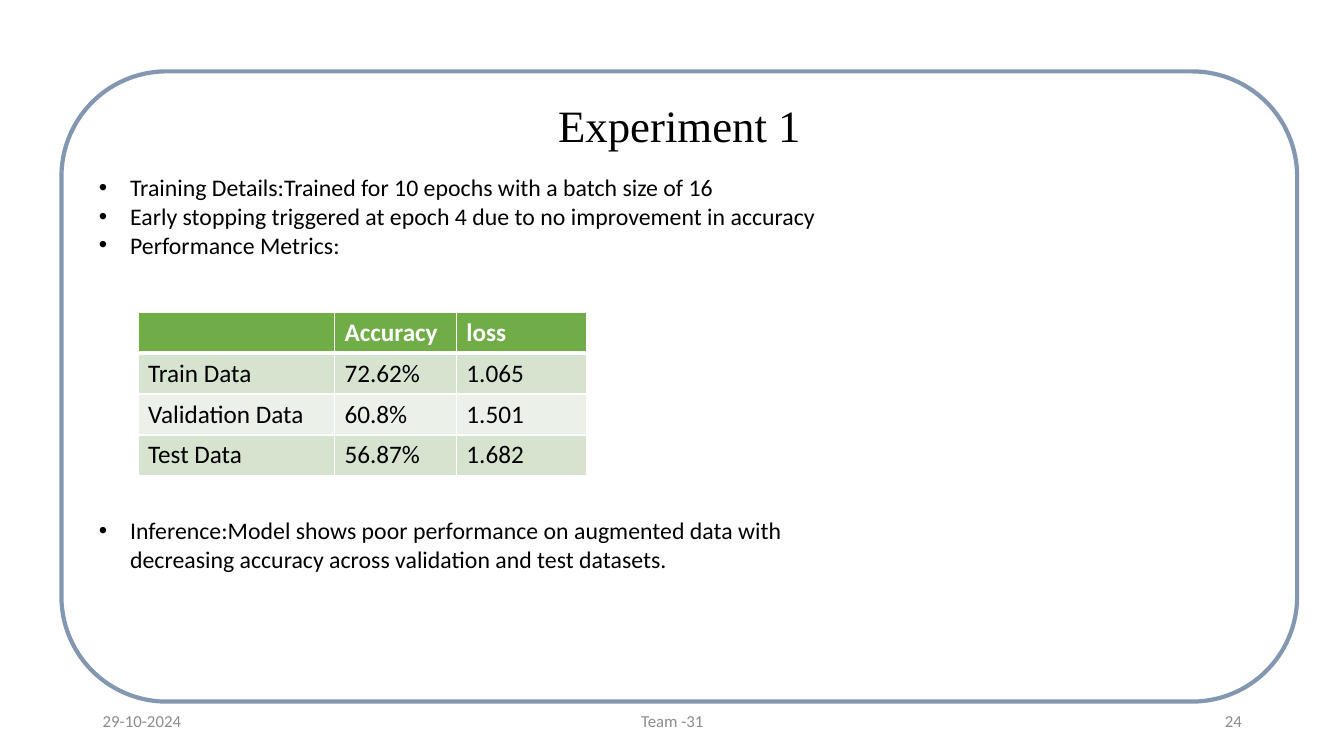
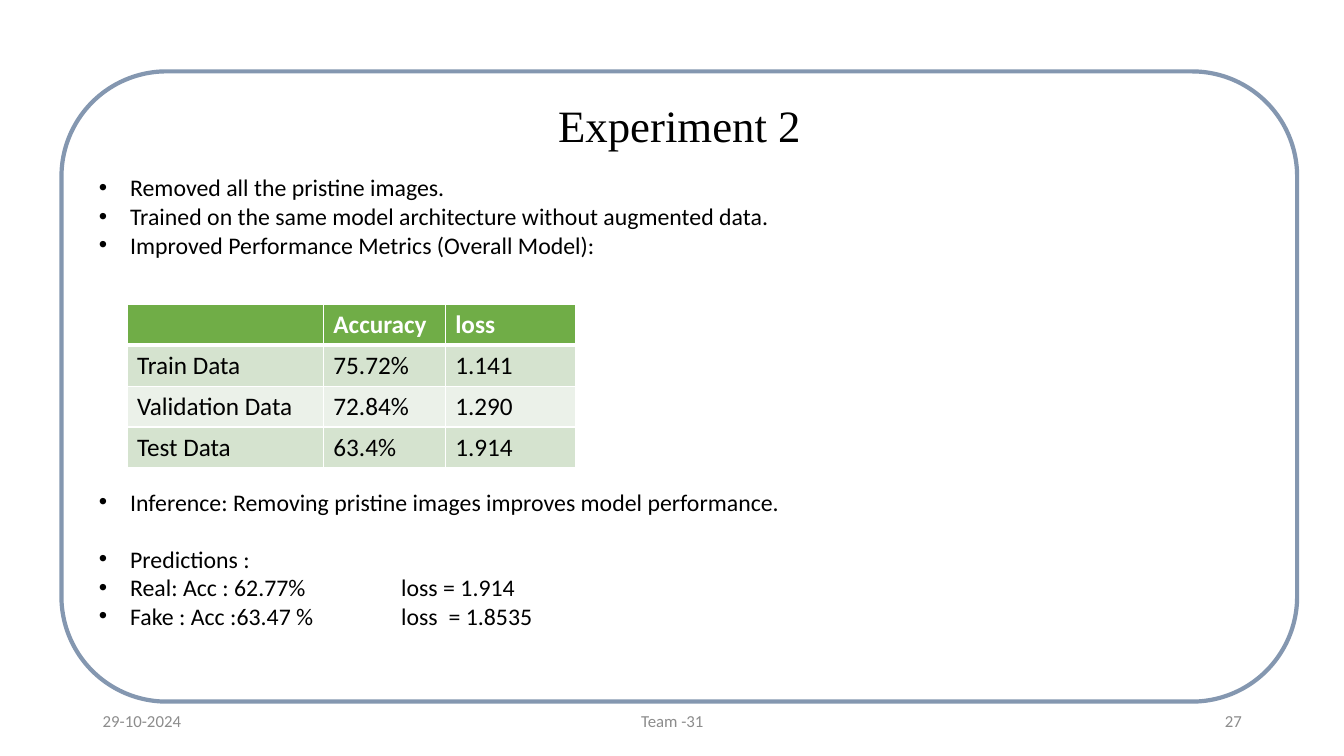
from typing import NamedTuple

from lxml.etree import SubElement
from pptx import Presentation
from pptx.dml.color import RGBColor
from pptx.enum.shapes import MSO_SHAPE as Preset
from pptx.enum.text import MSO_ANCHOR as Anchor, MSO_AUTO_SIZE as AutoSize, PP_ALIGN as Align
from pptx.oxml.ns import qn
from pptx.util import Cm, Pt

COLORS = {
    "text": "000000",
    "footer": "8C8C8C",
    "frame": "8497B0",
    "header": "70AD47",
    "odd_row": "D5E3CF",
    "even_row": "EBF1E9",
    "white": "FFFFFF",
}
BODY_FONT = "Calibri"
TITLE_FONT = "Times New Roman"
LINE_PITCH = 20.4
INDENT = Cm(0.79)
TAB_STOP = Cm(7.62)
COLUMN_WIDTHS = (4.95, 3.07, 3.28)
ROW_HEIGHT = 1.03
TABLE_HEADER = ("", "Accuracy", "loss")


class Box(NamedTuple):
    left: float
    top: float
    width: float
    height: float

    def lengths(self) -> list:
        return [Cm(value) for value in self]


class Bullet(NamedTuple):
    text: str
    lines_before: int = 0


class Footer(NamedTuple):
    left: float
    width: float
    align: Align


class Experiment(NamedTuple):
    title: str
    number: str
    bullets: list[Bullet]
    table_left: float
    table_top: float
    results: list[tuple[str, str, str]]


FRAME = Box(1.55, 1.8, 31.14, 15.88)
TITLE = Box(3.84, 2.34, 26.57, 1.63)
BODY = Box(2.24, 4.24, 19.1, 13.2)
FOOTER_TOP, FOOTER_HEIGHT = 17.65, 1.02
FOOTERS = (
    Footer(2.34, 7.62, Align.LEFT),
    Footer(11.23, 11.43, Align.CENTER),
    Footer(23.93, 7.62, Align.RIGHT),
)

EXPERIMENTS = [
    Experiment(
        "Experiment 1", "24",
        [
            Bullet("Training Details:Trained for 10 epochs with a batch size of 16"),
            Bullet("Early stopping triggered at epoch 4 due to no improvement in accuracy"),
            Bullet("Performance Metrics:"),
            Bullet("Inference:Model shows poor performance on augmented data with "
                   "decreasing accuracy across validation and test datasets.", 9),
        ],
        3.48, 7.87,
        [
            ("Train Data", "72.62%", "1.065"),
            ("Validation Data", "60.8%", "1.501"),
            ("Test Data", "56.87%", "1.682"),
        ],
    ),
    Experiment(
        "Experiment 2", "27",
        [
            Bullet("Removed all the pristine images."),
            Bullet("Trained on the same model architecture without augmented data."),
            Bullet("Improved Performance Metrics (Overall Model):"),
            Bullet("Inference: Removing pristine images improves model performance.", 8),
            Bullet("Predictions :", 1),
            Bullet("Real: Acc : 62.77%\tloss = 1.914"),
            Bullet("Fake : Acc :63.47 %\tloss  = 1.8535"),
        ],
        3.2, 7.67,
        [
            ("Train Data", "75.72%", "1.141"),
            ("Validation Data", "72.84%", "1.290"),
            ("Test Data", "63.4%", "1.914"),
        ],
    ),
]


def rgb(name: str) -> RGBColor:
    return RGBColor.from_string(COLORS[name])


def write(paragraph, text: str, *, size: float, color: str = "text",
          font: str = BODY_FONT, bold: bool = False, align: Align = Align.LEFT) -> None:
    paragraph.alignment = align
    run = paragraph.add_run()
    run.text = text
    run.font.name = font
    run.font.size = Pt(size)
    run.font.bold = bold
    run.font.color.rgb = rgb(color)


def add_text_frame(slide, box: Box, anchor: Anchor = Anchor.TOP):
    frame = slide.shapes.add_textbox(*box.lengths()).text_frame
    frame.word_wrap = True
    frame.vertical_anchor = anchor
    return frame


def add_frame(slide) -> None:
    shape = slide.shapes.add_shape(Preset.ROUNDED_RECTANGLE, *FRAME.lengths())
    shape.shadow.inherit = False
    shape.fill.background()
    shape.line.color.rgb = rgb("frame")
    shape.line.width = Pt(3)


def add_title(slide, title: str) -> None:
    frame = add_text_frame(slide, TITLE)
    frame.auto_size = AutoSize.SHAPE_TO_FIT_TEXT
    write(frame.paragraphs[0], title, size=32, font=TITLE_FONT, align=Align.CENTER)


def set_bullet(paragraph) -> None:
    """Give the paragraph a hanging bullet and, where needed, its tab stop."""
    properties = paragraph._p.get_or_add_pPr()
    properties.set("marL", str(INDENT))
    properties.set("indent", str(-INDENT))
    SubElement(properties, qn("a:buFont"), typeface="Arial")
    SubElement(properties, qn("a:buChar"), char="•")
    tabs = SubElement(properties, qn("a:tabLst"))
    SubElement(tabs, qn("a:tab"), pos=str(TAB_STOP), algn="l")


def add_bullets(slide, bullets: list[Bullet]) -> None:
    frame = add_text_frame(slide, BODY)
    for index, bullet in enumerate(bullets):
        paragraph = frame.add_paragraph() if index else frame.paragraphs[0]
        set_bullet(paragraph)
        paragraph.line_spacing = Pt(LINE_PITCH)
        if bullet.lines_before:
            paragraph.space_before = Pt(LINE_PITCH * bullet.lines_before)
        write(paragraph, bullet.text, size=17)


def add_footers(slide, number: str) -> None:
    for footer, text in zip(FOOTERS, ("29-10-2024", "Team -31", number)):
        box = Box(footer.left, FOOTER_TOP, footer.width, FOOTER_HEIGHT)
        frame = add_text_frame(slide, box, Anchor.MIDDLE)
        write(frame.paragraphs[0], text, size=12, color="footer", align=footer.align)


def set_borders(cell, top: float, bottom: float) -> None:
    """Draw white borders; must run before the cell is filled."""
    properties = cell._tc.get_or_add_tcPr()
    for side, width in (("L", 1), ("R", 1), ("T", top), ("B", bottom)):
        line = SubElement(properties, qn(f"a:ln{side}"), w=str(Pt(width)))
        fill = SubElement(line, qn("a:solidFill"))
        SubElement(fill, qn("a:srgbClr"), val=COLORS["white"])


def add_results(slide, experiment: Experiment) -> None:
    rows = [TABLE_HEADER, *experiment.results]
    box = Box(experiment.table_left, experiment.table_top,
              sum(COLUMN_WIDTHS), ROW_HEIGHT * len(rows))
    table = slide.shapes.add_table(len(rows), len(COLUMN_WIDTHS), *box.lengths()).table
    for column, width in zip(table.columns, COLUMN_WIDTHS):
        column.width = Cm(width)
    for row_index, values in enumerate(rows):
        is_header = row_index == 0
        fill = "header" if is_header else ("odd_row" if row_index % 2 else "even_row")
        for column_index, value in enumerate(values):
            cell = table.cell(row_index, column_index)
            set_borders(cell, top=3 if row_index == 1 else 1, bottom=3 if is_header else 1)
            cell.fill.solid()
            cell.fill.fore_color.rgb = rgb(fill)
            if value:
                write(cell.text_frame.paragraphs[0], value, size=18, bold=is_header,
                      color="white" if is_header else "text")


def add_experiment(presentation, experiment: Experiment) -> None:
    slide = presentation.slides.add_slide(presentation.slide_layouts[6])
    add_frame(slide)
    add_title(slide, experiment.title)
    add_bullets(slide, experiment.bullets)
    add_footers(slide, experiment.number)
    add_results(slide, experiment)


def main() -> None:
    presentation = Presentation()
    presentation.slide_width = Cm(33.87)
    presentation.slide_height = Cm(19.05)
    for experiment in EXPERIMENTS:
        add_experiment(presentation, experiment)
    presentation.save("out.pptx")


if __name__ == "__main__":
    main()
